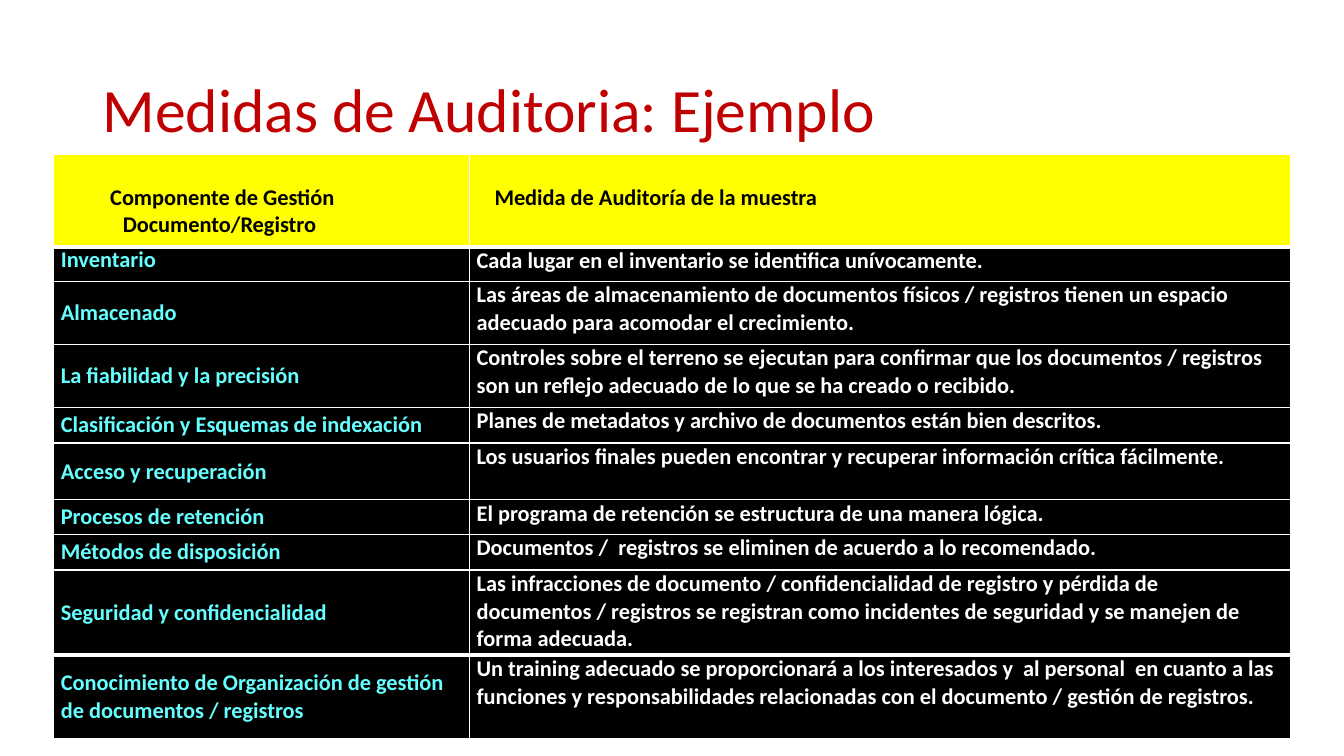
import pptx
import pptx.dml.color
import pptx.enum.text
import pptx.oxml.ns
import pptx.util
from lxml import etree

RED = pptx.dml.color.RGBColor(0xC0, 0x00, 0x00)
YELLOW = pptx.dml.color.RGBColor(0xFF, 0xFF, 0x00)
CYAN = pptx.dml.color.RGBColor(0x66, 0xFF, 0xFF)
BLACK = pptx.dml.color.RGBColor(0x00, 0x00, 0x00)
WHITE = pptx.dml.color.RGBColor(0xFF, 0xFF, 0xFF)
FONT = "Calibri"
EMU_PER_PX = 9525
TITLE_ONLY = 5
TOP = pptx.enum.text.MSO_ANCHOR.TOP
MIDDLE = pptx.enum.text.MSO_ANCHOR.MIDDLE

COLUMN_WIDTHS = (396, 782)
HEADER_HEIGHT = 88
HEADERS = (
    ("Componente de Gestión Documento/Registro", 66, -12),
    ("Medida de Auditoría de la muestra", 24, 0),
)
MEASURES = (
    (33, "Inventario", "Cada lugar en el inventario se identifica unívocamente."),
    (60, "Almacenado",
     "Las áreas de almacenamiento de documentos físicos / registros tienen un espacio "
     "adecuado para acomodar el crecimiento."),
    (60, "La fiabilidad y la precisión",
     "Controles sobre el terreno se ejecutan para confirmar que los documentos / registros "
     "son un reflejo adecuado de lo que se ha creado o recibido."),
    (34, "Clasificación y Esquemas de indexación",
     "Planes de metadatos y archivo de documentos están bien descritos."),
    (54, "Acceso y recuperación",
     "Los usuarios finales pueden encontrar y recuperar información crítica fácilmente."),
    (33, "Procesos de retención",
     "El programa de retención se estructura de una manera lógica."),
    (34, "Métodos de disposición",
     "Documentos /  registros se eliminen de acuerdo a lo recomendado."),
    (81, "Seguridad y confidencialidad",
     "Las infracciones de documento / confidencialidad de registro y pérdida de "
     "documentos / registros se registran como incidentes de seguridad y se manejen "
     "de forma adecuada."),
    (80, "Conocimiento de Organización de gestión de documentos / registros",
     "Un training adecuado se proporcionará a los interesados y  al personal  en cuanto a "
     "las funciones y responsabilidades relacionadas con el documento / gestión de registros."),
)


def px(length):
    return pptx.util.Emu(length * EMU_PER_PX)


def write_text(frame, text, *, color, size=16, bold=True, line_spacing=1.01,
               space_before=0.5, left=0, indent=0):
    para = frame.paragraphs[0]
    para.alignment = pptx.enum.text.PP_ALIGN.LEFT
    para.line_spacing = line_spacing
    para.space_before = pptx.util.Pt(space_before)
    properties = para._p.get_or_add_pPr()
    properties.set("marL", str(px(left)))
    properties.set("indent", str(px(indent)))
    span = para.add_run()
    span.text = text
    span.font.name = FONT
    span.font.size = pptx.util.Pt(size)
    span.font.bold = bold
    span.font.color.rgb = color


def add_title(page, text):
    title = page.shapes.title
    title.left, title.top, title.width, title.height = px(88), px(38), px(1104), px(139)
    title.text_frame.vertical_anchor = MIDDLE
    write_text(title.text_frame, text, color=RED, size=44, bold=False,
               line_spacing=0.9, space_before=0)


def set_borders(cell, top, bottom):
    properties = cell._tc.get_or_add_tcPr()
    for side, width in (("L", 1), ("R", 1), ("T", top), ("B", bottom)):
        line = etree.SubElement(properties, pptx.oxml.ns.qn(f"a:ln{side}"),
                                w=str(pptx.util.Pt(width)))
        fill = etree.SubElement(line, pptx.oxml.ns.qn("a:solidFill"))
        etree.SubElement(fill, pptx.oxml.ns.qn("a:srgbClr"), val=str(WHITE))


def fill_cell(cell, text, *, fill, anchor=TOP, margin_top=0, top=1, bottom=1, **text_format):
    set_borders(cell, top, bottom)
    cell.fill.solid()
    cell.fill.fore_color.rgb = fill
    cell.margin_left = cell.margin_right = cell.margin_bottom = 0
    cell.margin_top = px(margin_top)
    cell.vertical_anchor = anchor
    write_text(cell.text_frame, text, **text_format)


def add_measures_table(page):
    heights = [HEADER_HEIGHT] + [measure[0] for measure in MEASURES]
    table = page.shapes.add_table(len(heights), len(COLUMN_WIDTHS), px(51), px(147),
                                  px(sum(COLUMN_WIDTHS)), px(sum(heights))).table
    table.first_row = False
    table.horz_banding = False
    for column, width in zip(table.columns, COLUMN_WIDTHS):
        column.width = px(width)
    for row, height in zip(table.rows, heights):
        row.height = px(height)

    for index, (text, left, indent) in enumerate(HEADERS):
        fill_cell(table.cell(0, index), text, fill=YELLOW, color=BLACK, margin_top=28,
                  bottom=3, space_before=1.1, left=left, indent=indent)

    last = len(MEASURES)
    for index, (_, component, measure) in enumerate(MEASURES, start=1):
        top = 3 if index in (1, last) else 1
        bottom = 3 if index == last - 1 else 1
        spacing = pptx.util.Pt(12.8) if index == 1 else 1.01
        fill_cell(table.cell(index, 0), component, fill=BLACK, color=CYAN, anchor=MIDDLE,
                  top=top, bottom=bottom, left=7, line_spacing=spacing)
        fill_cell(table.cell(index, 1), measure, fill=BLACK, color=WHITE,
                  top=top, bottom=bottom, left=7)


def main():
    deck = pptx.Presentation()
    deck.slide_width, deck.slide_height = px(1280), px(720)
    page = deck.slides.add_slide(deck.slide_layouts[TITLE_ONLY])
    add_title(page, "Medidas de Auditoria: Ejemplo")
    add_measures_table(page)
    deck.save("out.pptx")


if __name__ == "__main__":
    main()
